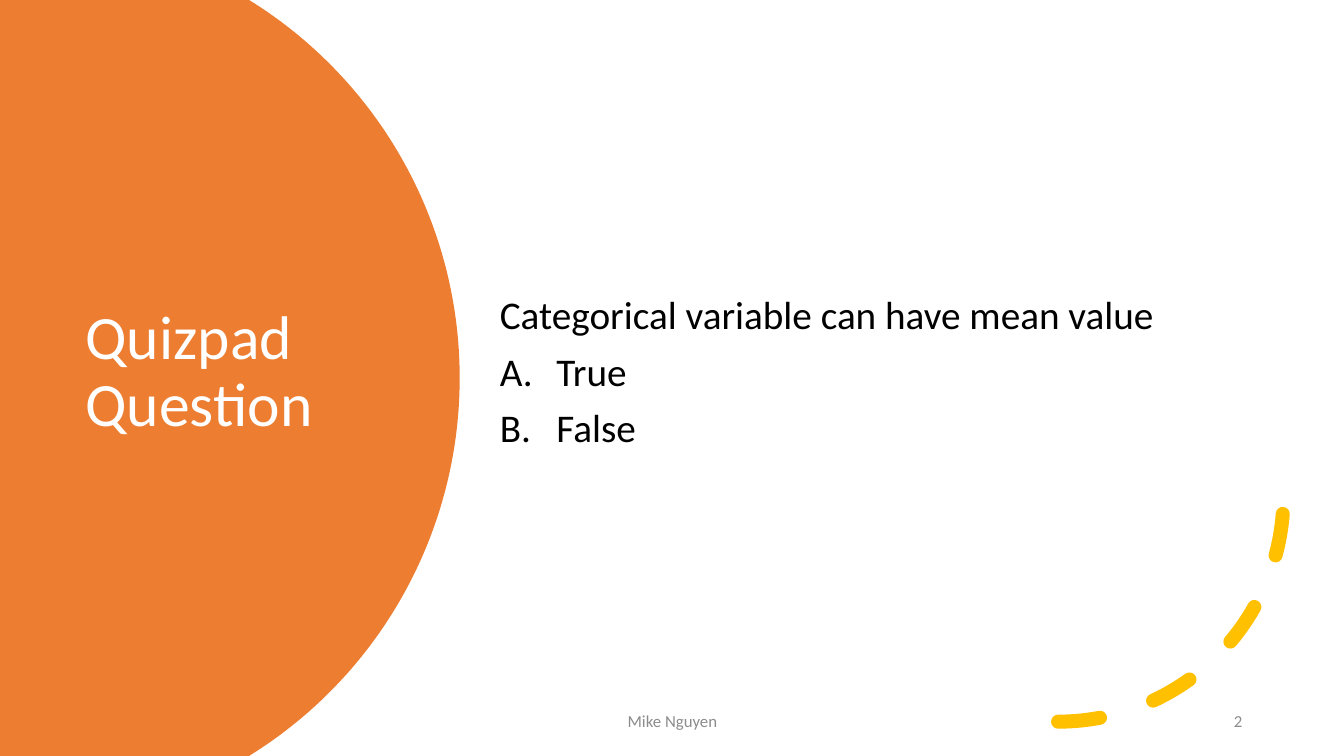
import math

from lxml import etree
from pptx import Presentation
from pptx.dml.color import RGBColor
from pptx.enum.dml import MSO_LINE
from pptx.enum.shapes import MSO_SHAPE
from pptx.enum.text import MSO_ANCHOR, PP_ALIGN
from pptx.oxml.ns import qn
from pptx.util import Inches, Pt

ARC = MSO_SHAPE.ARC
DASH = MSO_LINE.DASH
MIDDLE = MSO_ANCHOR.MIDDLE
LEFT, CENTER, RIGHT = PP_ALIGN.LEFT, PP_ALIGN.CENTER, PP_ALIGN.RIGHT

FONT = "Calibri"
COLORS = {
    "orange": "ED7D31",
    "gold": "FFC000",
    "white": "FFFFFF",
    "black": "000000",
    "gray": "8C8C8C",
}


def rgb(name):
    return RGBColor.from_string(COLORS[name])


def add_disc(slide, cx, cy, radius, steps=120):
    half = math.asin(cy / radius)
    angles = [-half + 2 * half * i / steps for i in range(steps + 1)]
    points = [
        (Inches(cx + radius * math.cos(a)), Inches(cy + radius * math.sin(a)))
        for a in angles
    ]
    builder = slide.shapes.build_freeform(0, 0)
    builder.add_line_segments(points + [(0, Inches(2 * cy))], close=True)
    sp = builder.convert_to_shape()
    sp.shadow.inherit = False
    sp.fill.solid()
    sp.fill.fore_color.rgb = rgb("orange")
    sp.line.fill.background()


def add_dashed_arc(slide, left, top, size):
    sp = slide.shapes.add_shape(
        ARC, Inches(left), Inches(top), Inches(size), Inches(size)
    )
    sp.shadow.inherit = False
    sp.fill.background()
    sp.line.color.rgb = rgb("gold")
    sp.line.width = Pt(10)
    sp.line.dash_style = DASH
    ln = sp.line._get_or_add_ln()
    ln.set("cap", "rnd")
    etree.SubElement(ln, qn("a:round"))
    sp._element.spPr.find(qn("a:xfrm")).set("flipV", "1")


def set_lettering(p):
    pPr = p._p.get_or_add_pPr()
    pPr.set("marL", str(Inches(0.56)))
    pPr.set("indent", str(-Inches(0.56)))
    etree.SubElement(pPr, qn("a:buFont"), typeface="+mj-lt")
    etree.SubElement(pPr, qn("a:buAutoNum"), type="alphaUcPeriod")


def add_text(slide, text, left, top, width, height, size, color,
             align=LEFT, spacing=1.0, options=()):
    box = slide.shapes.add_textbox(
        Inches(left), Inches(top), Inches(width), Inches(height)
    )
    tf = box.text_frame
    tf.word_wrap = True
    tf.vertical_anchor = MIDDLE
    for i, line in enumerate([text, *options]):
        p = tf.add_paragraph() if i else tf.paragraphs[0]
        p.alignment = align
        p.line_spacing = spacing
        if i:
            p.space_before = Pt(10)
            set_lettering(p)
        r = p.add_run()
        r.text = line
        r.font.name = FONT
        r.font.size = Pt(size)
        r.font.color.rgb = rgb(color)


def main():
    prs = Presentation()
    prs.slide_width = Inches(13.33)
    prs.slide_height = Inches(7.5)
    slide = prs.slides.add_slide(prs.slide_layouts[6])

    add_disc(slide, 0.15, 3.75, 4.41)
    add_text(slide, "Quizpad Question", 0.75, 1.26, 3.5, 4.88, 44, "white",
             spacing=0.9)
    add_dashed_arc(slide, 8.26, 2.69, 4.47)
    add_text(slide, "Categorical variable can have mean value",
             4.86, 0.65, 7.55, 6.11, 28, "black",
             spacing=0.9, options=("True", "False"))
    add_text(slide, "Mike Nguyen", 4.42, 6.95, 4.5, 0.4, 12, "gray",
             align=CENTER)
    add_text(slide, "2", 9.42, 6.95, 3, 0.4, 12, "gray", align=RIGHT)

    prs.save("out.pptx")


if __name__ == "__main__":
    main()
